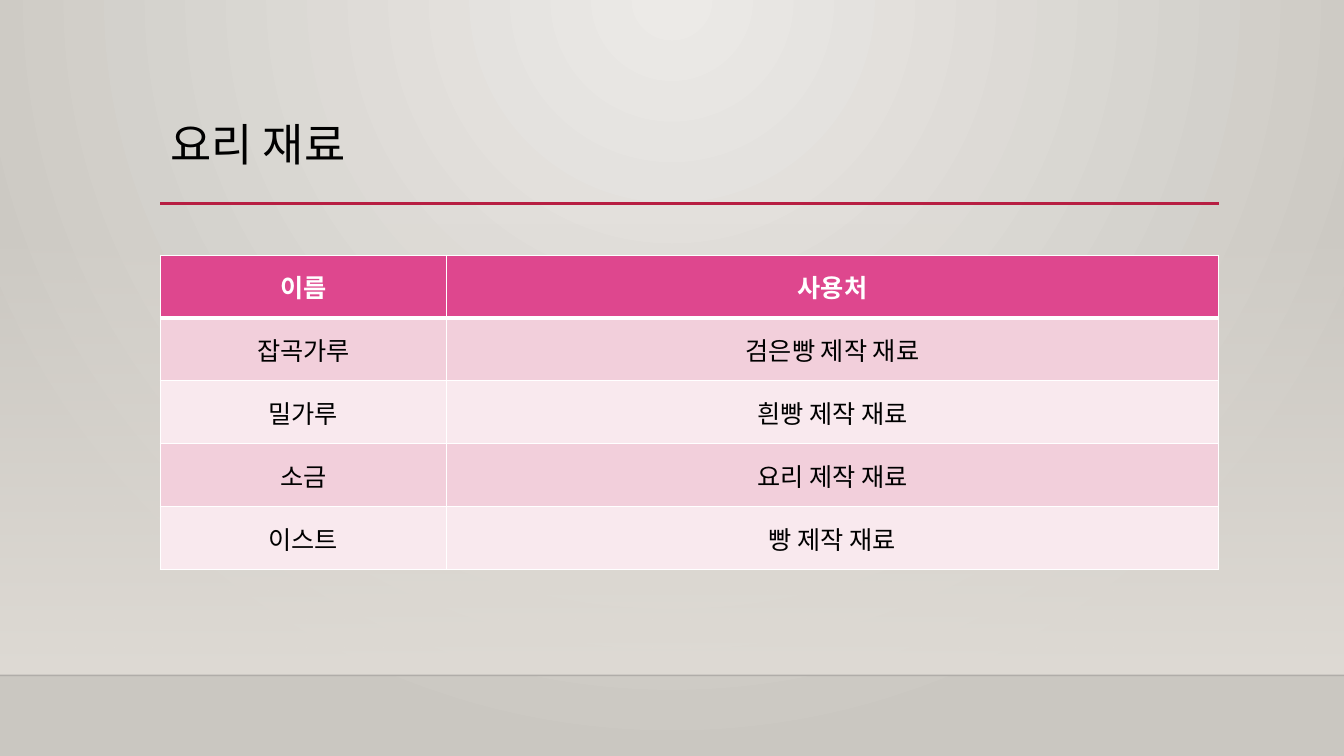
"""Build the cooking ingredients slide: a title over a two-column table."""
from lxml.etree import SubElement
from pptx import Presentation
from pptx.dml.color import RGBColor
from pptx.enum.shapes import MSO_CONNECTOR, MSO_SHAPE
from pptx.enum.text import MSO_ANCHOR, PP_ALIGN
from pptx.oxml import parse_xml
from pptx.oxml.ns import nsdecls, qn
from pptx.util import Cm, Pt

TITLE = "요리 재료"
HEADER = ("이름", "사용처")
INGREDIENTS = [
    ("잡곡가루", "검은빵 제작 재료"),
    ("밀가루", "흰빵 제작 재료"),
    ("소금", "요리 제작 재료"),
    ("이스트", "빵 제작 재료"),
]
COLORS = {
    "glow": "ECEAE7",
    "wall": "CAC7C1",
    "haze": "DFDBD5",
    "floor_edge": "000001",
    "rule": "B71E42",
    "header": "DE478E",
    "band_dark": "F2CFDB",
    "band_light": "F9E9EE",
    "text": "000000",
    "white": "FFFFFF",
}
FONT = "Calibri"
SLIDE_W, SLIDE_H = Cm(33.87), Cm(19.05)
LEFT, CONTENT_W = Cm(4.04), Cm(26.67)
TITLE_TOP, TITLE_H = Cm(2.24), Cm(2.92)
RULE_Y, RULE_END = Cm(5.13), Cm(30.73)
HAZE_TOP, FLOOR_Y = Cm(5.61), Cm(17.02)
TABLE_TOP, TABLE_H = Cm(6.43), Cm(7.92)
NAME_W = Cm(7.21)


def rgb(name):
    return RGBColor.from_string(COLORS[name])


def set_alpha(element, percent):
    """Make the first colour inside an element partly transparent."""
    color = element.xpath(".//a:srgbClr")[0]
    SubElement(color, qn("a:alpha")).set("val", str(percent * 1000))


def set_gradient(fill, names):
    fill.gradient()
    for stop, name, position in zip(fill.gradient_stops, names, (0, 1)):
        stop.color.rgb = rgb(name)
        stop.position = position


def add_rule(slide, left, right, y, color, width):
    rule = slide.shapes.add_connector(MSO_CONNECTOR.STRAIGHT, left, y, right, y)
    rule.line.color.rgb = rgb(color)
    rule.line.width = Pt(width)
    SubElement(rule.element.spPr, qn("a:effectLst"))
    return rule


def format_text(frame, size, color, align, bold=False):
    frame.vertical_anchor = MSO_ANCHOR.MIDDLE
    paragraph = frame.paragraphs[0]
    paragraph.alignment = align
    font = paragraph.font
    font.name, font.size, font.bold = FONT, Pt(size), bold
    font.color.rgb = rgb(color)
    return paragraph


def set_borders(cell, widths):
    properties = cell._tc.get_or_add_tcPr()
    for side, width in zip("LRTB", widths):
        properties.append(parse_xml(
            f'<a:ln{side} {nsdecls("a")} w="{Pt(width)}"><a:solidFill>'
            f'<a:srgbClr val="{COLORS["white"]}"/></a:solidFill></a:ln{side}>'))


def add_backdrop(slide):
    set_gradient(slide.background.fill, ("glow", "wall"))
    linear = slide.element.xpath(".//p:bg//a:lin")[0]
    linear.getparent().replace(linear, parse_xml(
        f'<a:path {nsdecls("a")} path="circle">'
        '<a:fillToRect l="43000" t="0" r="43000" b="100000"/></a:path>'))
    haze = slide.shapes.add_shape(
        MSO_SHAPE.RECTANGLE, 0, HAZE_TOP, SLIDE_W, FLOOR_Y - HAZE_TOP)
    haze.shadow.inherit = False
    haze.line.fill.background()
    set_gradient(haze.fill, ("haze", "haze"))
    haze.fill.gradient_angle = 270
    set_alpha(haze.element.spPr, 0)
    floor_edge = add_rule(slide, 0, SLIDE_W, FLOOR_Y, "floor_edge", 1)
    set_alpha(floor_edge.element.spPr, 20)
    add_rule(slide, LEFT, RULE_END, RULE_Y, "rule", 2.5)


def add_title(slide):
    title = slide.shapes.title
    slide.shapes.element.append(title.element)
    title.left, title.top = LEFT, TITLE_TOP
    title.width, title.height = CONTENT_W, TITLE_H
    title.text_frame.text = TITLE
    paragraph = format_text(title.text_frame, 32, "text", PP_ALIGN.LEFT)
    paragraph.line_spacing = 0.9


def add_ingredients(slide):
    rows = [HEADER, *INGREDIENTS]
    table = slide.shapes.add_table(
        len(rows), len(HEADER), LEFT, TABLE_TOP, CONTENT_W, TABLE_H).table
    table.columns[0].width = NAME_W
    table.columns[1].width = CONTENT_W - NAME_W
    for r, row in enumerate(rows):
        is_header = r == 0
        band = "header" if is_header else ("band_light", "band_dark")[r % 2]
        for c, words in enumerate(row):
            cell = table.cell(r, c)
            cell.text = words
            cell.vertical_anchor = MSO_ANCHOR.MIDDLE
            set_borders(cell, (1, 1, 3 if r == 1 else 1, 3 if is_header else 1))
            cell.fill.solid()
            cell.fill.fore_color.rgb = rgb(band)
            format_text(cell.text_frame, 18, "white" if is_header else "text",
                        PP_ALIGN.CENTER, is_header)


def main():
    deck = Presentation()
    deck.slide_width, deck.slide_height = SLIDE_W, SLIDE_H
    slide = deck.slides.add_slide(deck.slide_layouts[5])
    add_backdrop(slide)
    add_title(slide)
    add_ingredients(slide)
    deck.save("out.pptx")


if __name__ == "__main__":
    main()
